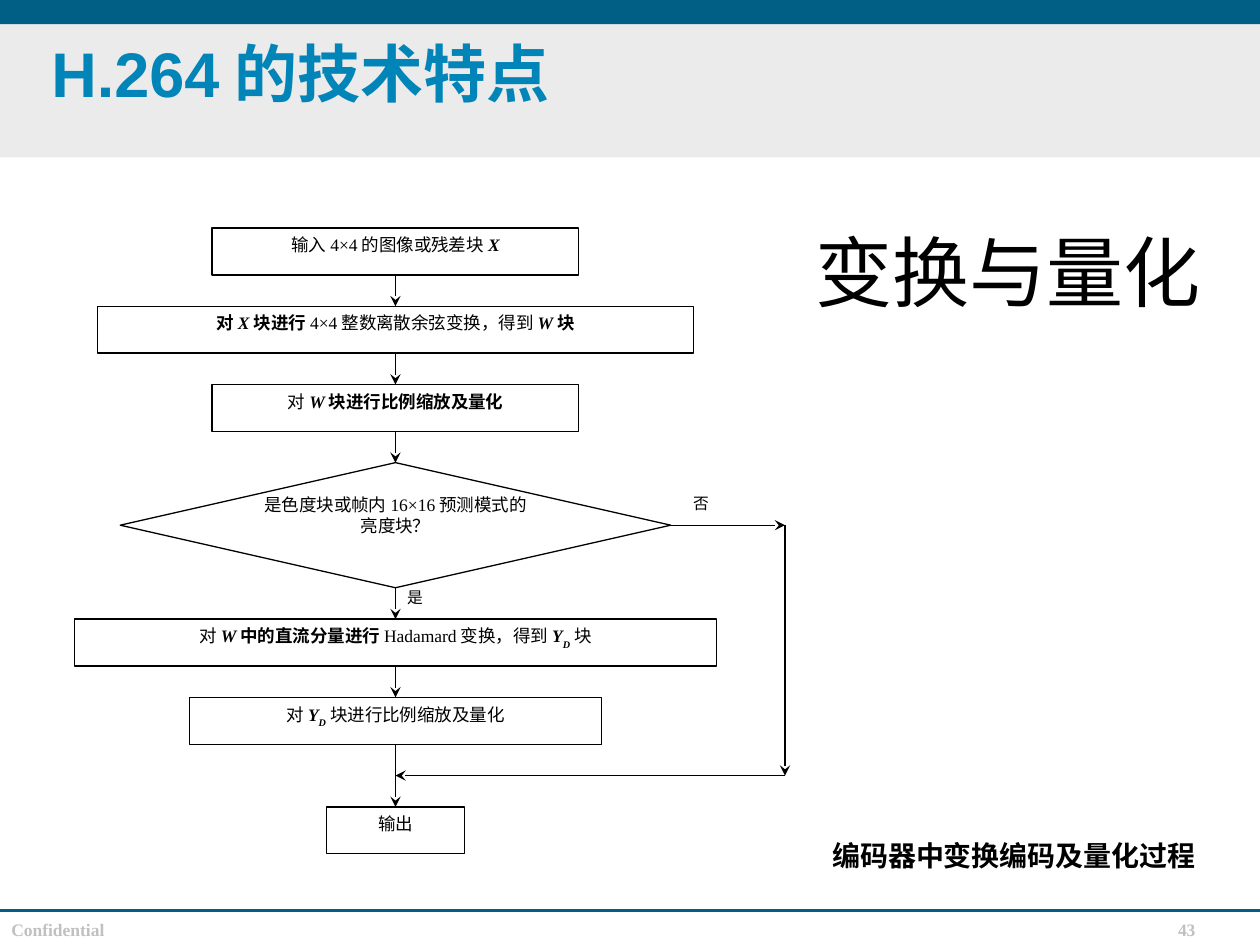
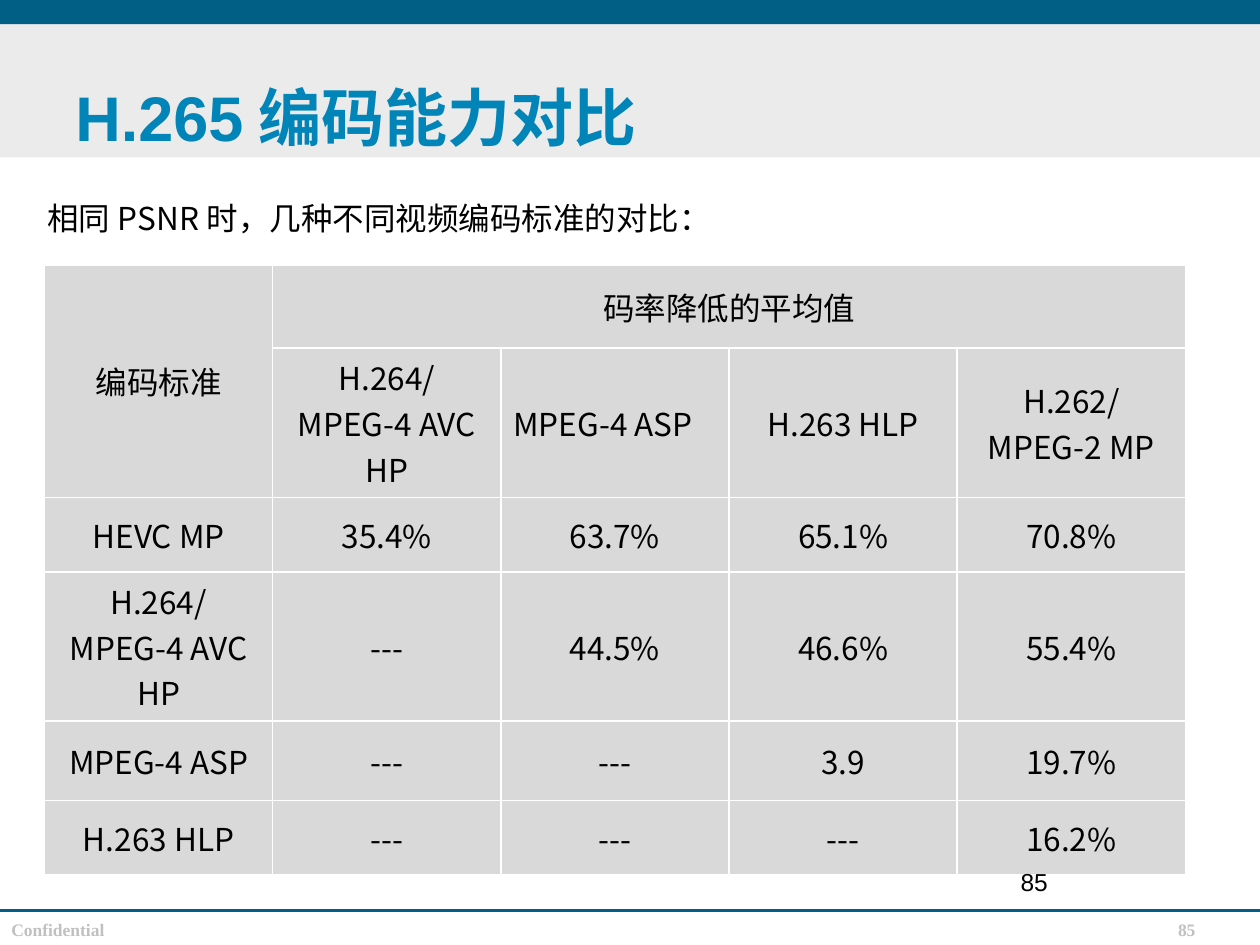
from lxml import etree
from pptx import Presentation
from pptx.dml.color import RGBColor
from pptx.enum.shapes import MSO_CONNECTOR, MSO_SHAPE
from pptx.enum.text import MSO_ANCHOR, PP_ALIGN
from pptx.oxml.ns import qn
from pptx.util import Pt

LEFT, MID = PP_ALIGN.LEFT, PP_ALIGN.CENTER
TOP, MIDDLE = MSO_ANCHOR.TOP, MSO_ANCHOR.MIDDLE
RECT, CHOICE = MSO_SHAPE.RECTANGLE, MSO_SHAPE.FLOWCHART_DECISION
STRAIGHT = MSO_CONNECTOR.STRAIGHT

NAVY = RGBColor(0x01, 0x5F, 0x85)
BLUE = RGBColor(0x01, 0x84, 0xB7)
PALE = RGBColor(0xEB, 0xEB, 0xEB)
GREY = RGBColor(0xD9, 0xD9, 0xD9)
SILVER = RGBColor(0xC0, 0xC0, 0xC0)
BLACK = RGBColor(0, 0, 0)
WHITE = RGBColor(255, 255, 255)

SERIF, SANS, HAN = "Times New Roman", "Arial", "Noto Sans CJK SC"


def write(frame, text, font=SERIF, size=10, color=BLACK, bold=False,
          align=LEFT, anchor=TOP, space=None, inset=None):
    """Text is a string or (words, marks) pairs; marks: b bold, i italic, s subscript."""
    frame.word_wrap = True
    frame.vertical_anchor = anchor
    if inset is not None:
        frame.margin_left = frame.margin_right = Pt(inset)
        frame.margin_top = frame.margin_bottom = Pt(inset)
    para = frame.paragraphs[0]
    para.alignment = align
    if space:
        para.line_spacing = Pt(space)
    pairs = [(text, "b" if bold else "")] if isinstance(text, str) else text
    for words, marks in pairs:
        run = para.add_run()
        run.text = words
        run.font.name = font
        run.font.size = Pt(size)
        run.font.color.rgb = color
        run.font.bold = "b" in marks
        run.font.italic = "i" in marks
        props = run.font._element
        etree.SubElement(props, qn("a:ea")).set("typeface", HAN)
        if "s" in marks:
            props.set("baseline", "-30000")


def link(slide, x1, y1, x2, y2, color=BLACK, width=0.75, head=True):
    line = slide.shapes.add_connector(STRAIGHT, Pt(x1), Pt(y1), Pt(x2), Pt(y2))
    line.line.color.rgb = color
    line.line.width = Pt(width)
    props = line.element.spPr
    if head:
        etree.SubElement(props.find(qn("a:ln")), qn("a:tailEnd")).set("type", "stealth")
    etree.SubElement(props, qn("a:effectLst"))


deck = Presentation()
deck.slide_width, deck.slide_height = Pt(720), Pt(540)
flow, rates = [deck.slides.add_slide(deck.slide_layouts[6]) for _ in range(2)]

# Bands and footer rule on both slides
for slide in (flow, rates):
    for top, high, color in [(9, 81, PALE), (0, 13.8, NAVY)]:
        band = slide.shapes.add_shape(RECT, 0, Pt(top), Pt(720), Pt(high))
        band.shadow.inherit = False
        band.fill.solid()
        band.fill.fore_color.rgb = color
        band.line.fill.background()
    link(slide, 0, 520.4, 720, 520.4, NAVY, 2, head=False)

# Flow chart: (width, height, gap above, text)
AXIS, SIDE = 226, 448.6
TALL, GAP = 26.8, 17.9
STEPS = [
    (209.6, TALL, GAP, [("输入4×4的图像或残差块", ""), ("X", "bi")]),
    (340.6, TALL, GAP, [("对", "b"), ("X", "bi"), ("块进行", "b"),
                        ("4×4整数离散余弦变换，得到", ""), ("W", "bi"), ("块", "b")]),
    (209.6, TALL, GAP, [("对", ""), ("W", "bi"), ("块进行比例缩放及量化", "b")]),
    (314.6, 71.5, GAP, "是色度块或帧内16×16预测模式的亮度块？"),
    (366.6, TALL, GAP, [("对", ""), ("W", "bi"), ("中的直流分量进行", "b"),
                        ("Hadamard变换，得到", ""), ("Y", "bi"), ("D", "bis"), ("块", "")]),
    (235.6, TALL, GAP, [("对", ""), ("Y", "bi"), ("D", "bis"), ("块进行比例缩放及量化", "")]),
    (78.6, TALL, 2 * GAP, "输出"),
]
end = 130.3 - GAP
for step, (wide, high, gap, text) in enumerate(STEPS):
    top = end + gap
    test = high != TALL
    box = flow.shapes.add_shape(CHOICE if test else RECT, Pt(AXIS - wide / 2), Pt(top),
                                Pt(wide), Pt(high))
    box.shadow.inherit = False
    box.fill.solid()
    box.fill.fore_color.rgb = WHITE
    box.line.color.rgb = BLACK
    box.line.width = Pt(0.75)
    write(box.text_frame, text, align=MID, inset=0 if test else None)
    if step:
        link(flow, AXIS, end, AXIS, top)
    if test:
        fork, edge = top + high / 2, AXIS + wide / 2
    end = top + high

# The "no" branch rejoins halfway down the last arrow
join = top - GAP
link(flow, edge, fork, SIDE, fork)
link(flow, SIDE, fork, SIDE, join)
link(flow, SIDE, join, AXIS, join)

# Table of rate savings
AVC = "H.264/MPEG-4 AVC HP"
ROWS = [
    ["编码标准", "码率降低的平均值", "", "", ""],
    ["", AVC, "MPEG-4 ASP", "H.263 HLP", "H.262/MPEG-2 MP"],
    ["HEVC MP", "35.4%", "63.7%", "65.1%", "70.8%"],
    [AVC, "---", "44.5%", "46.6%", "55.4%"],
    ["MPEG-4 ASP", "---", "---", "3.9", "19.7%"],
    ["H.263 HLP", "---", "---", "---", "16.2%"],
]
HIGHS = [47.5, 81.4, 42.5, 67, 45.4, 42.5]
grid = rates.shapes.add_table(6, 5, Pt(25.4), Pt(151.4), Pt(652), Pt(sum(HIGHS))).table
for col in grid.columns:
    col.width = Pt(130.4)
for row, high in zip(grid.rows, HIGHS):
    row.height = Pt(high)
grid.cell(0, 0).merge(grid.cell(1, 0))
grid.cell(0, 1).merge(grid.cell(0, 4))
for r, row in enumerate(ROWS):
    for c, text in enumerate(row):
        cell = grid.cell(r, c)
        props = cell._tc.get_or_add_tcPr()
        for side in ("lnL", "lnR", "lnT", "lnB"):
            rule = etree.SubElement(props, qn("a:" + side), w=str(Pt(1)))
            fill = etree.SubElement(rule, qn("a:solidFill"))
            etree.SubElement(fill, qn("a:srgbClr")).set("val", str(WHITE))
        cell.fill.solid()
        cell.fill.fore_color.rgb = GREY
        cell.vertical_anchor = MIDDLE
        if text:
            write(cell.text_frame, text, font=HAN, size=18, anchor=MIDDLE,
                  align=LEFT if (r, c) == (1, 2) else MID)

# Free text: (slide, left, top, width, height, text, format)
HEAD = dict(font=SANS, size=36, color=BLUE, bold=True, anchor=MIDDLE)
FOOT = dict(color=SILVER, bold=True, space=9.2, inset=0)
MARK = dict(size=9, inset=0)
NOTES = [
    (flow, 22.3, 15, 366, 52.6, "H.264的技术特点", HEAD),
    (flow, 430.6, 109.4, 291, 90, "变换与量化",
     dict(font=HAN, size=44, align=MID, anchor=MIDDLE)),
    (flow, 232.6, 336, 13, 18, "是", MARK),
    (flow, 396, 282.2, 13, 18, "否", MARK),
    (flow, 468.6, 474, 230, 30, "编码器中变换编码及量化过程",
     dict(size=16, bold=True, anchor=MIDDLE)),
    (rates, 36, 21.6, 648, 90, "H.265编码能力对比", HEAD),
    (rates, 20, 110, 669, 29, "相同PSNR时，几种不同视频编码标准的对比：",
     dict(font=HAN, size=18)),
    (rates, 516, 491.8, 150, 36, "85", dict(font=SANS, size=14, align=MID)),
]
for slide, page in [(flow, "43"), (rates, "85")]:
    NOTES += [(slide, 6.5, 527.8, 60, 9.4, "Confidential", FOOT),
              (slide, 673.2, 527.8, 14, 9.4, page, FOOT)]
for slide, left, top, wide, high, text, look in NOTES:
    note = slide.shapes.add_textbox(Pt(left), Pt(top), Pt(wide), Pt(high))
    write(note.text_frame, text, **look)

deck.save("out.pptx")
